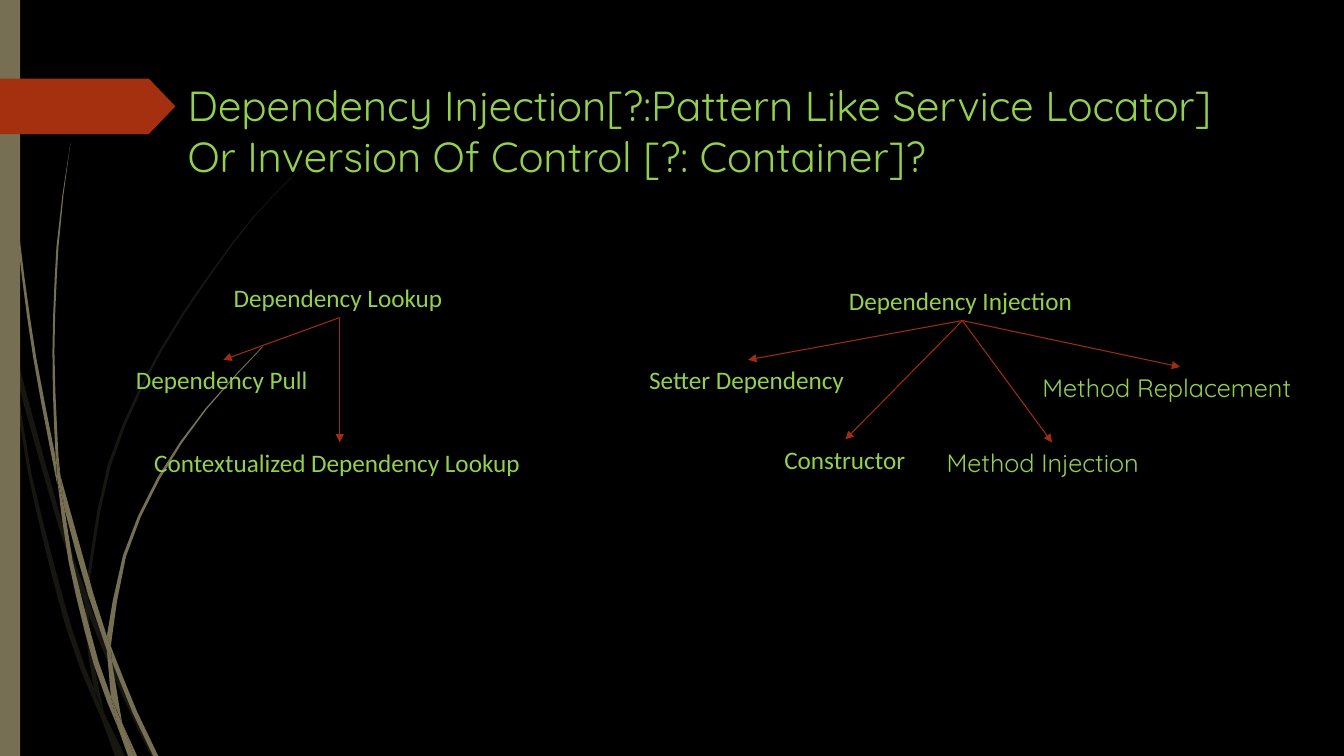
from dataclasses import dataclass
from math import dist
from lxml.etree import SubElement
from pptx import Presentation
from pptx.dml.color import RGBColor as RGB
from pptx.enum.shapes import MSO_CONNECTOR as LINK, MSO_SHAPE as SHAPE
from pptx.enum.text import MSO_ANCHOR as ANCHOR, MSO_AUTO_SIZE as FIT, PP_ALIGN as ALIGN
from pptx.oxml.ns import qn
from pptx.util import Inches, Pt


@dataclass(frozen=True)
class Theme:
    back: RGB = RGB(0x00, 0x00, 0x00)
    text: RGB = RGB(0x92, 0xD0, 0x50)
    stem: RGB = RGB(0x76, 0x6F, 0x54)
    tag: RGB = RGB(0xA5, 0x30, 0x10)
    arrow: RGB = RGB(0x9E, 0x2E, 0x0F)
    plain: str = "Calibri"
    round: str = "Quicksand"
    head: Pt = Pt(30)
    body: Pt = Pt(18)
    line: Pt = Pt(0.75)


THEME = Theme()
ROW = 0.4

# Each blade has two edges, one out and one back, as points in inches.
FAINT = [
    ([(0.11, 3.5), (0.09, 3.22), (0, 2.82)], [(0, 2.99), (0.1, 3.44)]),
    ([(0.14, 3.45), (0.17, 3.76), (0.58, 5.22), (0.84, 5.99)], [(0.85, 5.86), (0.62, 5.2), (0.14, 3.45)]),
    ([(0.88, 5.96), (0.88, 6.1), (1.23, 6.94), (1.5, 7.5)], [(1.55, 7.5), (1.27, 6.92), (0.92, 6.07)]),
    ([(1.05, 7.11), (1.19, 7.5)], [(1.24, 7.5)]),
    ([(0.11, 3.5), (0.28, 4.7), (0.65, 6.21), (0.92, 6.93), (1.01, 7.14)],
     [(0.93, 6.83), (0.7, 6.19), (0.31, 4.69), (0.17, 3.76), (0.11, 3.5)]),
    ([(0.84, 5.99), (0.87, 6.46), (0.93, 6.83), (1.05, 7.11)], [(1.03, 7.06), (0.91, 6.46), (0.88, 6.1)]),
    ([(3.12, 1.53), (2.68, 1.97), (2.28, 2.44), (1.58, 3.48), (1.07, 4.61), (0.85, 5.84)],
     [(0.88, 5.96), (0.88, 5.84), (1.1, 4.62), (1.6, 3.49), (2.29, 2.45), (2.68, 1.98), (3.12, 1.54)]),
    ([(1.01, 7.14), (1.14, 7.5)], [(1.19, 7.5)]),
    ([(0.85, 5.86), (0.84, 5.99)], [(0.88, 6.1), (0.88, 5.96)]),
    ([(0.93, 6.83), (1.01, 7.14), (1.19, 7.5)], [(1.05, 7.11), (0.96, 6.92)]),
]
SOLID = [
    ([(0.03, 0), (0.07, 1.1), (0.17, 2.33), (0.33, 3.55), (0.56, 4.77)],
     [(0.57, 4.81), (0.55, 4.53), (0.36, 3.55), (0.19, 2.32), (0.08, 1.09), (0.04, 0)]),
    ([(0.6, 4.72), (0.64, 5.05), (0.88, 5.92), (1.06, 6.45)], [(1.06, 6.31), (0.93, 5.9), (0.6, 4.72)]),
    ([(1.1, 6.41), (1.11, 6.56), (1.32, 7.08), (1.52, 7.5)], [(1.57, 7.5), (1.36, 7.06), (1.13, 6.49)]),
    ([(0.57, 4.77), (0.68, 5.57), (0.93, 6.59), (1.17, 7.22)],
     [(1.1, 6.91), (0.98, 6.57), (0.72, 5.56), (0.64, 5.05)]),
    ([(0.7, 1.41), (0.62, 1.93), (0.56, 2.45), (0.52, 3.49), (0.55, 4.49), (0.6, 4.72)],
     [(0.58, 4.53), (0.54, 3.49), (0.58, 2.45), (0.63, 1.93), (0.7, 1.41)]),
    ([(1.22, 7.19), (1.33, 7.5)], [(1.36, 7.5)]),
    ([(0.55, 4.49), (0.57, 4.77), (0.64, 5.05)], [(0.6, 4.72)]),
    ([(2.6, 3.44), (2.04, 4.05), (1.56, 4.74), (1.22, 5.51), (1.06, 6.31)],
     [(1.1, 6.41), (1.11, 6.33), (1.25, 5.52), (1.58, 4.76), (2.05, 4.06), (2.61, 3.44)]),
    ([(1.17, 7.22), (1.27, 7.5)], [(1.31, 7.5)]),
    ([(1.06, 6.45), (1.1, 6.91), (1.22, 7.19)], [(1.21, 7.16), (1.11, 6.56)]),
    ([(1.06, 6.31), (1.06, 6.45), (1.11, 6.56)], [(1.1, 6.41)]),
    ([(1.1, 6.91), (1.17, 7.22), (1.3, 7.5)], [(1.33, 7.5), (1.22, 7.19), (1.16, 7.06)]),
]


def smooth(edge):
    """Return points on a Catmull-Rom curve through the edge."""
    ends = [edge[0], *edge, edge[-1]]
    curve = [edge[0]]
    for a, b, c, d in zip(ends, ends[1:], ends[2:], ends[3:]):
        steps = max(1, round(dist(b, c) / 0.4))
        for step in range(1, steps + 1):
            t = step / steps
            curve.append(tuple(
                (2 * q + (r - p) * t + (2 * p - 5 * q + 4 * r - s) * t ** 2
                 + (3 * q - p - 3 * r + s) * t ** 3) / 2
                for p, q, r, s in zip(a, b, c, d)))
    return curve


def paint(shape, color, alpha=None):
    shape.shadow.inherit = False
    shape.fill.solid()
    shape.fill.fore_color.rgb = color
    shape.line.fill.background()
    if alpha:
        tone = shape.element.spPr.find(f".//{qn('a:srgbClr')}")
        SubElement(tone, qn("a:alpha")).set("val", str(alpha * 1000))


def style(frame, font, size):
    for part in frame.paragraphs:
        part.alignment = ALIGN.LEFT
        for run in part.runs:
            run.font.name = font
            run.font.size = size
            run.font.color.rgb = THEME.text


def add_blades(slide, x, y, blades, alpha=None):
    for out, back in blades:
        first, *rest = [(Inches(x + u), Inches(y + v)) for u, v in smooth(out) + smooth(back)]
        pen = slide.shapes.build_freeform(*first, scale=1.0)
        pen.add_line_segments(rest, close=True)
        paint(pen.convert_to_shape(), THEME.stem, alpha)


def add_side(slide, x, y, high):
    """Draw the grass, the side bar and the title's tag."""
    add_blades(slide, x, y, FAINT, alpha=20)
    add_blades(slide, x, y, SOLID)
    bar = slide.shapes.add_shape(SHAPE.RECTANGLE, Inches(x), Inches(y), Inches(0.2), Inches(high))
    paint(bar, THEME.stem)
    tag = slide.shapes.add_shape(SHAPE.PENTAGON, Inches(x), Inches(y + 0.78), Inches(1.74), Inches(0.55))
    tag.adjustments[0] = 0.48
    paint(tag, THEME.tag)


def add_head(slide, x, y, wide, high, text):
    title = slide.shapes.title
    title.element.getparent().append(title.element)
    title.left, title.top, title.width, title.height = map(Inches, (x, y, wide, high))
    frame = title.text_frame
    frame.text = text
    frame.word_wrap = True
    frame.auto_size = FIT.NONE
    frame.vertical_anchor = ANCHOR.TOP
    style(frame, THEME.round, THEME.head)


def add_label(slide, x, y, wide, text, font):
    box = slide.shapes.add_textbox(Inches(x), Inches(y), Inches(wide), Inches(ROW))
    frame = box.text_frame
    frame.text = text
    frame.word_wrap = False
    frame.auto_size = FIT.SHAPE_TO_FIT_TEXT
    style(frame, font, THEME.body)
    return box


def add_arrow(slide, start, end):
    """Join the bottom of one label to the top of another."""
    link = slide.shapes.add_connector(LINK.STRAIGHT, 0, 0, 0, 0)
    link.begin_connect(start, 2)
    link.end_connect(end, 0)
    link.line.color.rgb = THEME.arrow
    link.line.width = THEME.line
    props = link.element.spPr
    SubElement(props.find(qn("a:ln")), qn("a:tailEnd")).set("type", "triangle")
    SubElement(props, qn("a:effectLst"))


def add_tree(slide, x, y, root, leaves):
    """Place a root and its leaves, given as (dx, dy, width, text, font)."""
    top, *ends = [add_label(slide, x + dx, y + dy, *rest) for dx, dy, *rest in (root, *leaves)]
    for end in ends:
        add_arrow(slide, top, end)


def main():
    deck = Presentation()
    deck.slide_width, deck.slide_height = Inches(13.33), Inches(7.5)
    slide = deck.slides.add_slide(deck.slide_layouts[5])
    slide.background.fill.solid()
    slide.background.fill.fore_color.rgb = THEME.back

    add_side(slide, 0, 0, 7.5)
    add_head(slide, 1.76, 0.74, 10.83, 1.11,
             "Dependency Injection[?:Pattern Like Service Locator] "
             "Or Inversion Of Control [?: Container]?")
    add_tree(slide, 1.25, 2.75, (0.97, 0, 2.3, "Dependency Lookup", THEME.plain), [
        (0, 0.82, 1.93, "Dependency Pull", THEME.plain),
        (0.18, 1.64, 3.88, "Contextualized Dependency Lookup", THEME.plain),
    ])
    add_tree(slide, 6.34, 2.78, (1.98, 0, 2.45, "Dependency Injection", THEME.plain), [
        (0, 0.79, 2.16, "Setter Dependency", THEME.plain),
        (1.34, 1.58, 1.41, "Constructor", THEME.plain),
        (2.95, 1.61, 2.29, "Method Injection", THEME.round),
        (3.9, 0.86, 2.93, "Method Replacement", THEME.round),
    ])
    deck.save("out.pptx")


if __name__ == "__main__":
    main()
